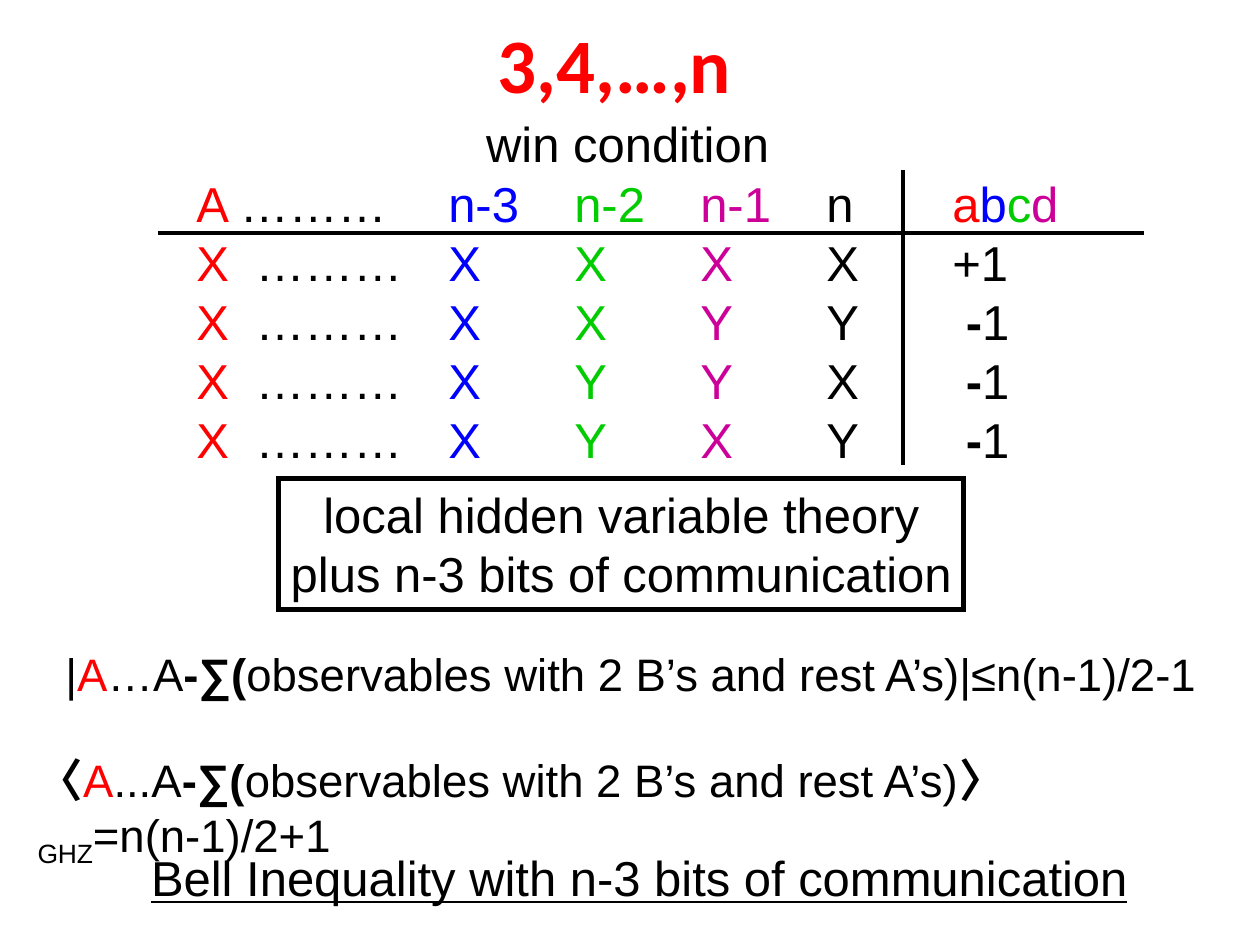
from lxml.etree import SubElement
from pptx import Presentation
from pptx.dml.color import RGBColor
from pptx.enum.shapes import MSO_CONNECTOR, MSO_SHAPE
from pptx.enum.text import MSO_ANCHOR, MSO_AUTO_SIZE, PP_ALIGN
from pptx.oxml.ns import qn
from pptx.util import Inches, Pt

BLACK = RGBColor(0x00, 0x00, 0x00)
RED = RGBColor(0xFF, 0x00, 0x00)
BLUE = RGBColor(0x00, 0x00, 0xFF)
GREEN = RGBColor(0x00, 0xCC, 0x00)
PURPLE = RGBColor(0xCC, 0x00, 0x99)

PARTY_COLORS = [BLUE, GREEN, PURPLE, BLACK]
OUTCOME_COLORS = [RED, BLUE, GREEN, PURPLE]
PARTIES = ["n-3", "n-2", "n-1", "n"]
SETTINGS = [("XXXX", "+"), ("XXYY", "-"), ("XYYX", "-"), ("XYXY", "-")]
TAB_STOPS = [0.47, 2, 3, 4, 5, 6]
DOTS = "………"


def prepare_frame(frame, wrap=False):
    frame.word_wrap = wrap
    frame.auto_size = MSO_AUTO_SIZE.SHAPE_TO_FIT_TEXT
    frame.vertical_anchor = MSO_ANCHOR.TOP


def add_frame(slide, left, top, width, height, wrap=False):
    box = slide.shapes.add_textbox(Inches(left), Inches(top), Inches(width), Inches(height))
    prepare_frame(box.text_frame, wrap)
    return box.text_frame


def add_run(paragraph, text, color=BLACK, size=28, bold=False, font="Arial"):
    run = paragraph.add_run()
    run.text = text
    run.font.name = font
    run.font.size = Pt(size)
    run.font.bold = bold
    run.font.color.rgb = color
    return run


def add_rule(slide, x1, y1, x2, y2):
    rule = slide.shapes.add_connector(
        MSO_CONNECTOR.STRAIGHT, Inches(x1), Inches(y1), Inches(x2), Inches(y2))
    rule.line.color.rgb = BLACK
    rule.line.width = Pt(2.25)
    SubElement(rule._element.spPr, qn("a:effectLst"))


def set_tab_stops(paragraph):
    tabs = SubElement(paragraph._p.get_or_add_pPr(), qn("a:tabLst"))
    for stop in TAB_STOPS:
        SubElement(tabs, qn("a:tab"), pos=str(Inches(stop)), algn="l")


def add_title(slide):
    title = slide.shapes.title
    title.left, title.top = Inches(3.85), Inches(0.08)
    title.width, title.height = Inches(2.39), Inches(0.84)
    prepare_frame(title.text_frame)
    heading = title.text_frame.paragraphs[0]
    heading.alignment = PP_ALIGN.LEFT
    add_run(heading, "3,4,…,n", RED, 44, True, "Calibri")


def add_party_cells(row, labels):
    for label, color in zip(labels, PARTY_COLORS):
        add_run(row, label + "\t", color)


def add_win_table(slide):
    """Tabbed text, as its columns are only separated by two rules."""
    frame = add_frame(slide, 1.46, 1.33, 7.04, 2.44)
    header = frame.paragraphs[0]
    set_tab_stops(header)
    add_run(header, "A ", RED)
    add_run(header, DOTS + "\t")
    add_party_cells(header, PARTIES)
    for letter, color in zip("abcd", OUTCOME_COLORS):
        add_run(header, letter, color)

    for settings, sign in SETTINGS:
        row = frame.add_paragraph()
        set_tab_stops(row)
        add_run(row, "X\t", RED)
        add_run(row, DOTS + "\t")
        add_party_cells(row, settings)
        if sign == "-":
            add_run(row, " ")
        add_run(row, sign, bold=sign == "-")
        add_run(row, "1")

    add_rule(slide, 1.25, 1.85, 9.08, 1.85)
    add_rule(slide, 7.17, 1.35, 7.17, 3.69)


def add_theory_box(slide):
    box = slide.shapes.add_shape(
        MSO_SHAPE.RECTANGLE, Inches(2.21), Inches(3.8), Inches(5.44), Inches(1.04))
    box.shadow.inherit = False
    box.fill.background()
    box.line.color.rgb = BLACK
    box.line.width = Pt(3)
    SubElement(box.line._get_or_add_ln(), qn("a:miter"), lim="800000")
    frame = box.text_frame
    prepare_frame(frame)
    # Narrow side margins keep the second line whole.
    frame.margin_left = frame.margin_right = Inches(0.03)
    frame.text = "local hidden variable theory\nplus n-3 bits of communication"
    for paragraph in frame.paragraphs:
        paragraph.alignment = PP_ALIGN.CENTER
        for run in paragraph.runs:
            run.font.name = "Arial"
            run.font.size = Pt(28)
            run.font.color.rgb = BLACK


def add_observables(paragraph, dots, ending):
    add_run(paragraph, "A", RED, 26)
    add_run(paragraph, dots + "A", size=26)
    add_run(paragraph, "-∑(", size=26, bold=True)
    add_run(paragraph, "observables with 2 B’s and rest A’s)" + ending, size=26)


def add_inequalities(slide):
    local_bound = add_frame(slide, 0.42, 5.08, 9.24, 0.54).paragraphs[0]
    add_run(local_bound, "|", size=26)
    add_observables(local_bound, "…", "|≤n(n-1)/2-1")

    ghz_value = add_frame(slide, 0.2, 5.92, 9.77, 0.6, wrap=True).paragraphs[0]
    add_run(ghz_value, "〈", size=26, bold=True)
    add_observables(ghz_value, "...", "")
    add_run(ghz_value, "〉", size=26, bold=True)
    state = add_run(ghz_value, "GHZ", size=26)
    state._r.get_or_add_rPr().set("baseline", "-25000")
    add_run(ghz_value, "=n(n-1)/2+1", size=26)


def main():
    deck = Presentation()
    deck.slide_width, deck.slide_height = Inches(10), Inches(7.5)
    slide = deck.slides.add_slide(deck.slide_layouts[5])
    add_title(slide)
    add_win_table(slide)
    add_run(add_frame(slide, 3.76, 0.85, 2.5, 0.57).paragraphs[0], "win condition")
    add_theory_box(slide)
    add_inequalities(slide)
    conclusion = add_frame(slide, 1.1, 6.68, 7.95, 0.57).paragraphs[0]
    add_run(conclusion, "Bell Inequality with n-3 bits of communication").font.underline = True
    deck.save("out.pptx")


if __name__ == "__main__":
    main()
